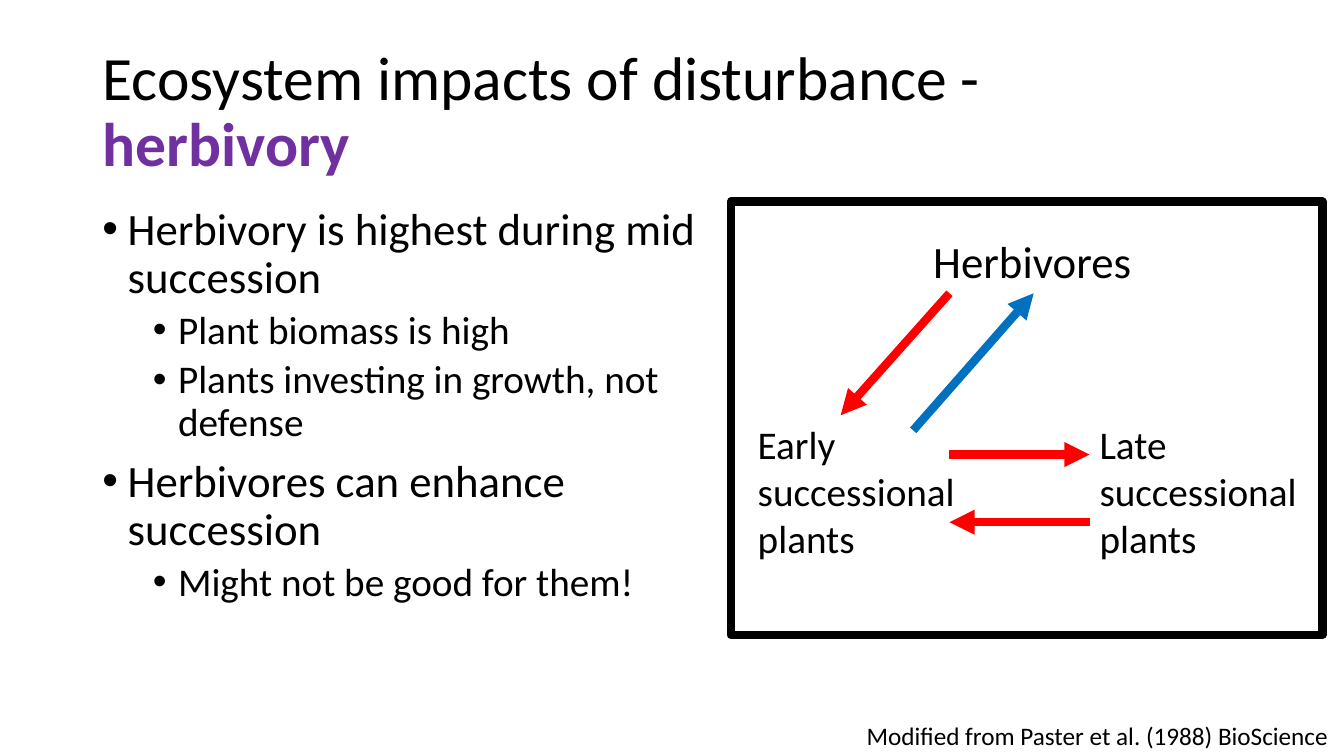
from dataclasses import dataclass
from typing import Any, Optional

from lxml import etree
from pptx import Presentation
from pptx import util as u
from pptx.dml.color import RGBColor
from pptx.enum import shapes, text
from pptx.oxml.ns import qn

COLORS = {"ink": "000000", "eat": "FF0000", "feed": "0070C0", "key": "7030A0"}
FONT = "Calibri"
STROKE = 6


@dataclass
class Item:
    words: str
    level: int = 0


@dataclass
class Label:
    words: str
    box: tuple[float, float, float, float]
    size: int
    wrap: bool = False


@dataclass
class Arrow:
    start: tuple[float, float]
    end: tuple[float, float]
    color: str
    goal: Optional[str] = None


ITEMS = [
    Item("Herbivory is highest during mid succession"),
    Item("Plant biomass is high", 1),
    Item("Plants investing in growth, not defense", 1),
    Item("Herbivores can enhance succession"),
    Item("Might not be good for them!", 1),
]
# Size, space before and left margin of each list level
LEVELS = [(32, 10, 18), (28, 5, 54)]

LABELS = [
    Label("Herbivores", (659.5, 163.5, 157.7, 46), 32),
    Label("Early successional plants", (534.2, 296.6, 182.9, 108.7), 28, True),
    Label("Late successional plants", (778.3, 296.6, 182.9, 108.7), 28, True),
    Label("Modified from Paster et al. (1988) BioScience", (612, 511.2, 348.5, 28.8), 18),
]
ARROWS = [
    Arrow((678.2, 209.5), (600.5, 296.6), "eat"),
    Arrow((652.3, 307.4), (738.35, 209.5), "feed", "Herbivores"),
    Arrow((678.2, 324.7), (778.3, 324.7), "eat"),
    Arrow((778.3, 373), (678.2, 373), "eat"),
]


def rgb(name: str) -> RGBColor:
    return RGBColor.from_string(COLORS[name])


def apply(thing: Any, form: dict[str, Any]) -> None:
    for key, value in form.items():
        setattr(thing, key, value)


def style(font: Any, size: int, color: str = "ink", bold: bool = False) -> None:
    apply(font, {"name": FONT, "size": u.Pt(size), "bold": bold})
    font.color.rgb = rgb(color)


def place(shape: Any, box: tuple[float, float, float, float]) -> None:
    sides = ("left", "top", "width", "height")
    apply(shape, {side: u.Pt(value) for side, value in zip(sides, box)})


def bullet(para: Any, margin: float) -> None:
    """Give the paragraph a hanging round bullet."""
    props = para._p.get_or_add_pPr()
    props.set("marL", str(u.Pt(margin)))
    props.set("indent", str(u.Pt(-18)))
    etree.SubElement(props, qn("a:buFont")).set("typeface", "Arial")
    etree.SubElement(props, qn("a:buChar")).set("char", "•")


def add_title(shape: Any) -> None:
    place(shape, (66, 28.8, 828, 104.4))
    frame = shape.text_frame
    apply(frame, {"word_wrap": True, "auto_size": text.MSO_AUTO_SIZE.NONE,
                  "vertical_anchor": text.MSO_ANCHOR.MIDDLE})
    para = frame.paragraphs[0]
    apply(para, {"alignment": text.PP_ALIGN.LEFT, "line_spacing": 0.9})
    for words, color, bold in (("Ecosystem impacts of disturbance - ", "ink", False),
                               ("herbivory", "key", True)):
        run = para.add_run()
        run.text = words
        style(run.font, 44, color, bold)


def add_list(shape: Any) -> None:
    place(shape, (66, 144, 468, 342.7))
    frame = shape.text_frame
    apply(frame, {"word_wrap": True, "auto_size": text.MSO_AUTO_SIZE.NONE})
    for pos, item in enumerate(ITEMS):
        para = frame.add_paragraph() if pos else frame.paragraphs[0]
        size, space, margin = LEVELS[item.level]
        bullet(para, margin)
        apply(para, {"level": item.level, "line_spacing": 0.9,
                     "space_before": u.Pt(space if pos else 0)})
        run = para.add_run()
        run.text = item.words
        style(run.font, size)


def add_label(slide: Any, label: Label) -> Any:
    shape = slide.shapes.add_textbox(*map(u.Pt, label.box))
    frame = shape.text_frame
    apply(frame, {"word_wrap": label.wrap,
                  "auto_size": text.MSO_AUTO_SIZE.SHAPE_TO_FIT_TEXT})
    run = frame.paragraphs[0].add_run()
    run.text = label.words
    style(run.font, label.size)
    return shape


def add_arrow(slide: Any, arrow: Arrow, boxes: dict[str, Any]) -> None:
    line = slide.shapes.add_connector(
        shapes.MSO_CONNECTOR.STRAIGHT, *map(u.Pt, arrow.start + arrow.end))
    if arrow.goal:
        line.end_connect(boxes[arrow.goal], 2)
    line.line.width = u.Pt(STROKE)
    line.line.color.rgb = rgb(arrow.color)
    etree.SubElement(line.line._get_or_add_ln(), qn("a:tailEnd")).set("type", "triangle")
    etree.SubElement(line._element.spPr, qn("a:effectLst"))


def add_frame(slide: Any) -> None:
    shape = slide.shapes.add_shape(
        shapes.MSO_SHAPE.RECTANGLE, *map(u.Pt, (522, 144, 422.6, 309.6)))
    shape.shadow.inherit = False
    shape.fill.background()
    shape.line.width = u.Pt(STROKE)
    shape.line.color.rgb = rgb("ink")


def main() -> None:
    deck = Presentation()
    apply(deck, {"slide_width": u.Pt(960), "slide_height": u.Pt(540)})
    slide = deck.slides.add_slide(deck.slide_layouts[1])
    add_title(slide.shapes.title)
    add_list(slide.placeholders[1])
    boxes = {label.words: add_label(slide, label) for label in LABELS}
    for arrow in ARROWS:
        add_arrow(slide, arrow, boxes)
    add_frame(slide)
    deck.save("out.pptx")


if __name__ == "__main__":
    main()
